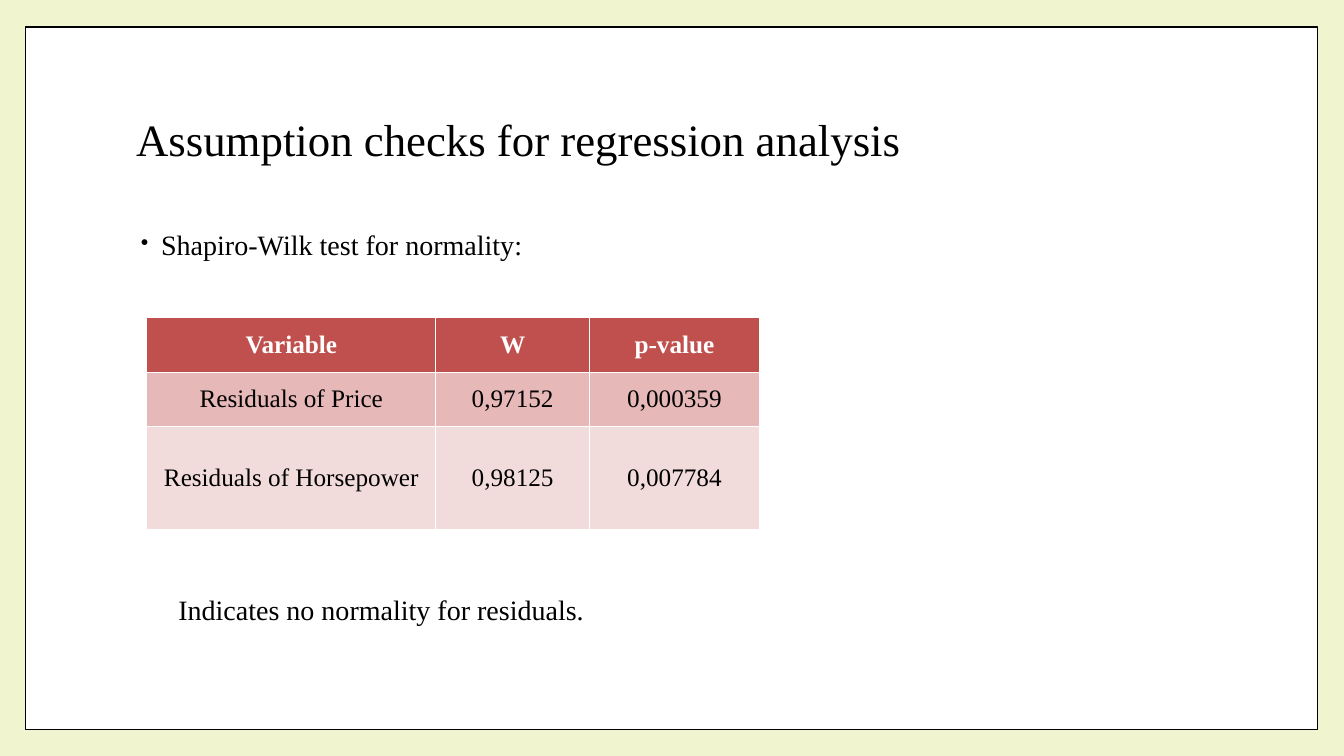
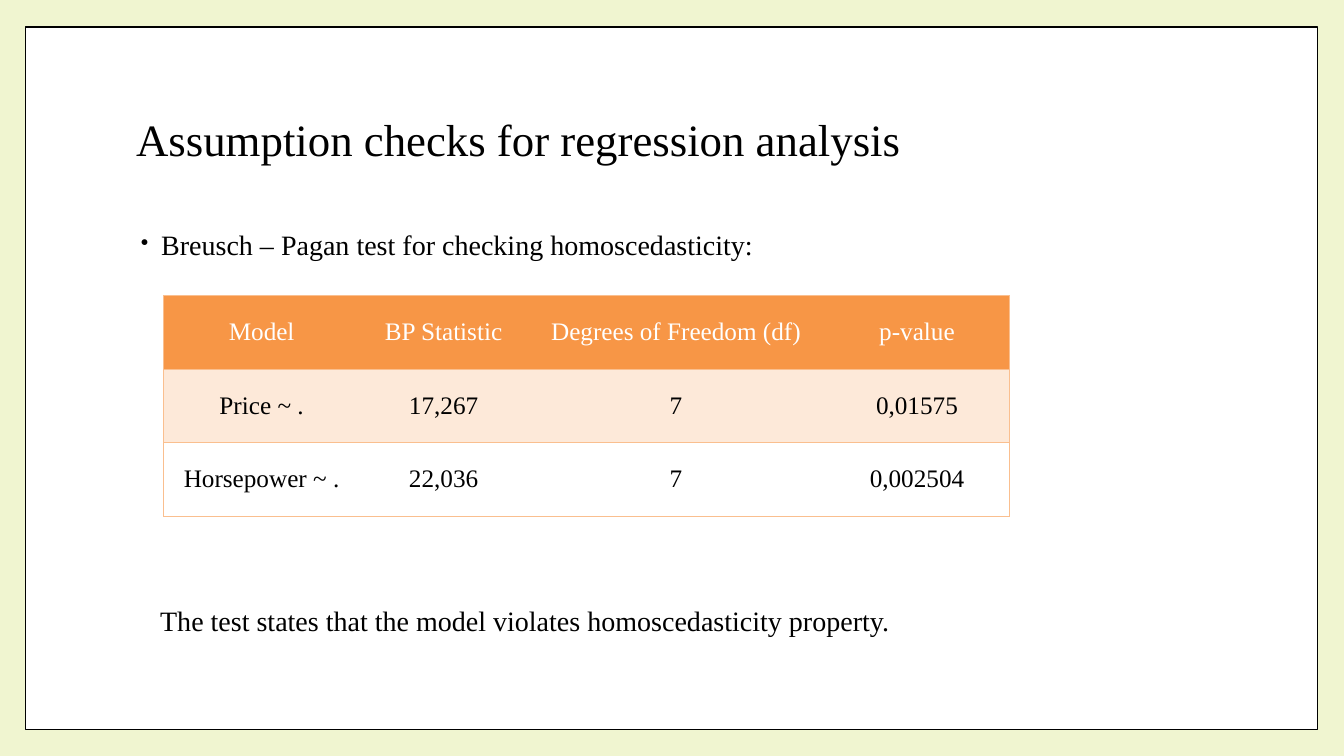
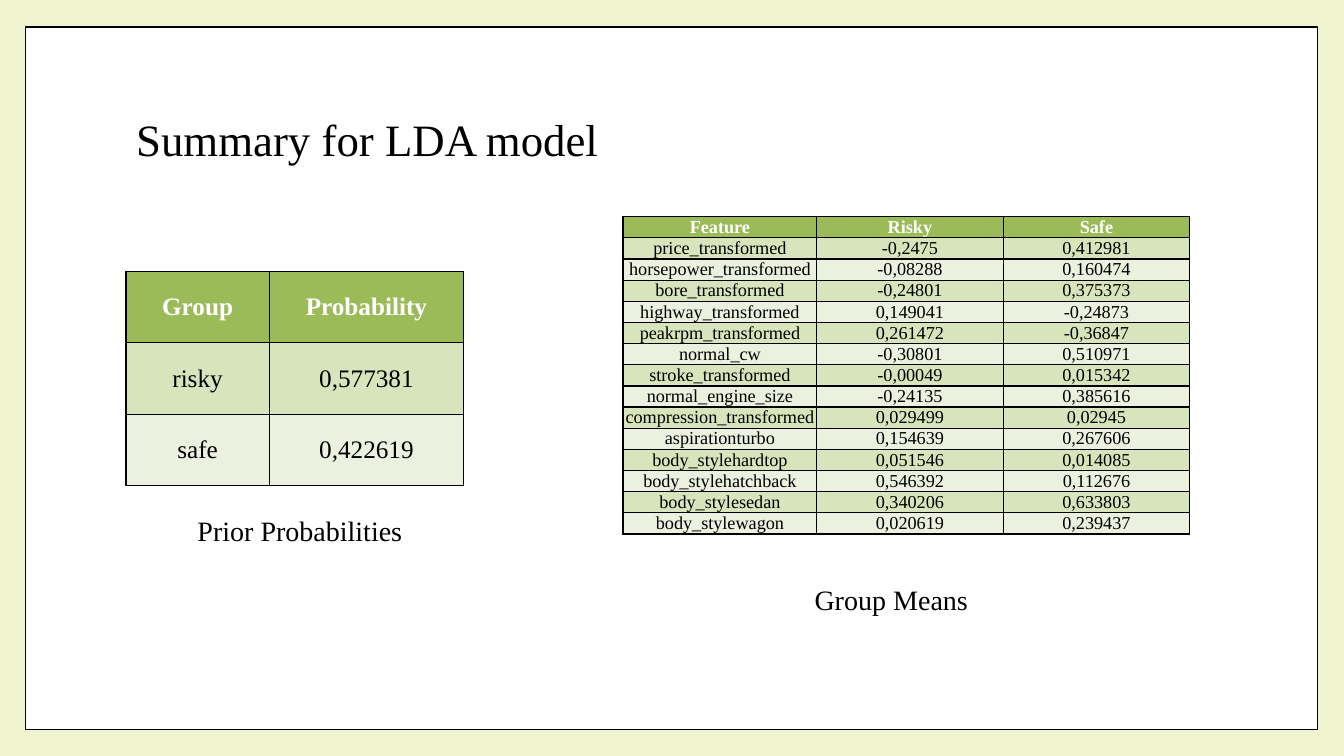
from pptx import Presentation, util as u
from pptx.dml.color import RGBColor
from pptx.enum import shapes, text
from pptx.oxml import parse_xml
from pptx.oxml.ns import nsdecls

COLORS = {
    "page": "F0F5D0", "white": "FFFFFF", "black": "000000",
    "red": "C0504D", "red_mid": "E6B8B7", "red_pale": "F2DCDB",
    "orange": "F79646", "orange_line": "FABF8F", "orange_pale": "FDE9D9",
    "green": "9BBB59", "green_mid": "D8E4BC", "green_pale": "EBF1DE",
}
FONT = "Times New Roman"
RED = ("red", "red_mid", "red_pale")
ORANGE = ("orange", "orange_pale", None)
GREEN = ("green", "green_mid", "green_pale")


def rgb(name):
    return RGBColor.from_string(COLORS[name])


class Deck:
    """Hold the shared style and the current slide."""

    def __init__(self):
        self.prs = Presentation()
        self.prs.slide_width, self.prs.slide_height = u.Inches(13.33), u.Inches(7.5)
        fill = self.prs.slide_master.background.fill
        fill.solid()
        fill.fore_color.rgb = rgb("page")

    def run(self, p, content, size, color="black", bold=False):
        r = p.add_run()
        r.text = content
        r.font.name, r.font.size, r.font.bold = FONT, u.Pt(size), bold
        r.font.color.rgb = rgb(color)

    def slide(self, title):
        self.s = self.prs.slides.add_slide(self.prs.slide_layouts[5])
        sp = self.s.shapes.title
        sp.left, sp.top, sp.width, sp.height = map(u.Inches, (1.25, 0.67, 10.8, 1.48))
        sp.text_frame.vertical_anchor = text.MSO_ANCHOR.MIDDLE
        p = sp.text_frame.paragraphs[0]
        p.alignment, p.line_spacing = text.PP_ALIGN.LEFT, 0.9
        self.run(p, title, 32)
        self.frame()

    def frame(self):
        sp = self.s.shapes.add_shape(
            shapes.MSO_SHAPE.RECTANGLE, *map(u.Inches, (0.25, 0.27, 12.82, 6.97)))
        sp.shadow.inherit = False
        sp.fill.solid()
        sp.fill.fore_color.rgb = rgb("white")
        sp.line.color.rgb, sp.line.width = rgb("black"), u.Pt(1)
        self.s.shapes.title.element.addprevious(sp.element)

    def text(self, content, left, top, width, height=0.44):
        sp = self.s.shapes.add_textbox(*map(u.Inches, (left, top, width, height)))
        sp.text_frame.word_wrap = True
        p = sp.text_frame.paragraphs[0]
        self.run(p, content, 20)
        return p

    def bullet(self, content):
        p = self.text(content, 1.25, 2.25, 10.8)
        pPr = p._p.get_or_add_pPr()
        pPr.set("marL", str(u.Inches(0.25)))
        pPr.set("indent", str(u.Inches(-0.2)))
        for xml in (f'<a:buClr {nsdecls("a")}><a:srgbClr val="{COLORS["black"]}"/></a:buClr>',
                    f'<a:buSzPct {nsdecls("a")} val="80000"/>',
                    f'<a:buChar {nsdecls("a")} char="•"/>'):
            pPr.append(parse_xml(xml))
        p.line_spacing = 0.9

    def border(self, cell, side, color, width, shown):
        paint = (f'<a:solidFill><a:srgbClr val="{COLORS[color]}"/></a:solidFill>'
                 if shown else "<a:noFill/>")
        cell._tc.get_or_add_tcPr().append(parse_xml(
            f'<a:ln{side} {nsdecls("a")} w="{u.Pt(width)}">{paint}</a:ln{side}>'))

    def table(self, rows, left, top, widths, heights, fills, line, line_width=0.5,
              size=18, bold=True, outer=True, verticals=True, inset=0):
        table = self.s.shapes.add_table(
            len(rows), len(widths), *map(u.Inches, (left, top, sum(widths), sum(heights)))).table
        for column, width in zip(table.columns, widths):
            column.width = u.Inches(width)
        for i, values in enumerate(rows):
            table.rows[i].height = u.Inches(heights[i])
            fill = fills[0] if i == 0 else fills[2 - i % 2]
            for j, value in enumerate(values):
                cell = table.cell(i, j)
                cell.margin_left = cell.margin_right = u.Inches(inset)
                cell.margin_top = cell.margin_bottom = 0
                cell.vertical_anchor = text.MSO_ANCHOR.MIDDLE
                edges = {"L": j == 0, "R": j == len(widths) - 1,
                         "T": i == 0, "B": i == len(rows) - 1}
                for side, at_edge in edges.items():
                    shown = outer if at_edge else verticals or side in "TB"
                    self.border(cell, side, line, line_width, shown)
                if fill:
                    cell.fill.solid()
                    cell.fill.fore_color.rgb = rgb(fill)
                else:
                    cell.fill.background()
                p = cell.text_frame.paragraphs[0]
                p.alignment = text.PP_ALIGN.CENTER
                self.run(p, value, size, "black" if i else "white", bold and i == 0)


def main():
    deck = Deck()

    deck.slide("Assumption checks for regression analysis")
    deck.bullet("Shapiro-Wilk test for normality:")
    deck.table([("Variable", "W", "p-value"),
                ("Residuals of Price", "0,97152", "0,000359"),
                ("Residuals of Horsepower", "0,98125", "0,007784")],
               1.46, 3.15, (2.86, 1.53, 1.68), (0.54, 0.54, 1.02), RED, "white",
               outer=False)
    deck.text("Indicates no normality for residuals.", 1.67, 5.83, 6.57)

    deck.slide("Assumption checks for regression analysis")
    deck.bullet("Breusch – Pagan test for checking homoscedasticity:")
    deck.table([("Model", "BP Statistic", "Degrees of Freedom (df)", "p-value"),
                ("Price ~ .", "17,267", "7", "0,01575"),
                ("Horsepower ~ .", "22,036", "7", "0,002504")],
               1.62, 2.93, (1.95, 1.66, 2.95, 1.83), [0.73] * 3, ORANGE, "orange_line",
               bold=False, verticals=False)
    deck.text("The test states that the model violates homoscedasticity property.",
              1.49, 5.94, 8.37)

    deck.slide("Summary for LDA model")
    deck.table([("Group", "Probability"), ("risky", "0,577381"), ("safe", "0,422619")],
               1.25, 2.69, (1.42, 1.93), [0.71] * 3, GREEN, "black", 1)
    means = [("Feature", "Risky", "Safe"),
             ("price_transformed", "-0,2475", "0,412981"),
             ("horsepower_transformed", "-0,08288", "0,160474"),
             ("bore_transformed", "-0,24801", "0,375373"),
             ("highway_transformed", "0,149041", "-0,24873"),
             ("peakrpm_transformed", "0,261472", "-0,36847"),
             ("normal_cw", "-0,30801", "0,510971"),
             ("stroke_transformed", "-0,00049", "0,015342"),
             ("normal_engine_size", "-0,24135", "0,385616"),
             ("compression_transformed", "0,029499", "0,02945"),
             ("aspirationturbo", "0,154639", "0,267606"),
             ("body_stylehardtop", "0,051546", "0,014085"),
             ("body_stylehatchback", "0,546392", "0,112676"),
             ("body_stylesedan", "0,340206", "0,633803"),
             ("body_stylewagon", "0,020619", "0,239437")]
    deck.table(means, 6.18, 2.15, (1.92, 1.85, 1.85), [0.21] * len(means), GREEN,
               "black", 1, size=13, inset=0.01)
    deck.text("Prior Probabilities", 1.86, 5.05, 2.42)
    deck.text("Group Means", 7.98, 5.73, 2.42)

    deck.prs.save("out.pptx")


if __name__ == "__main__":
    main()
